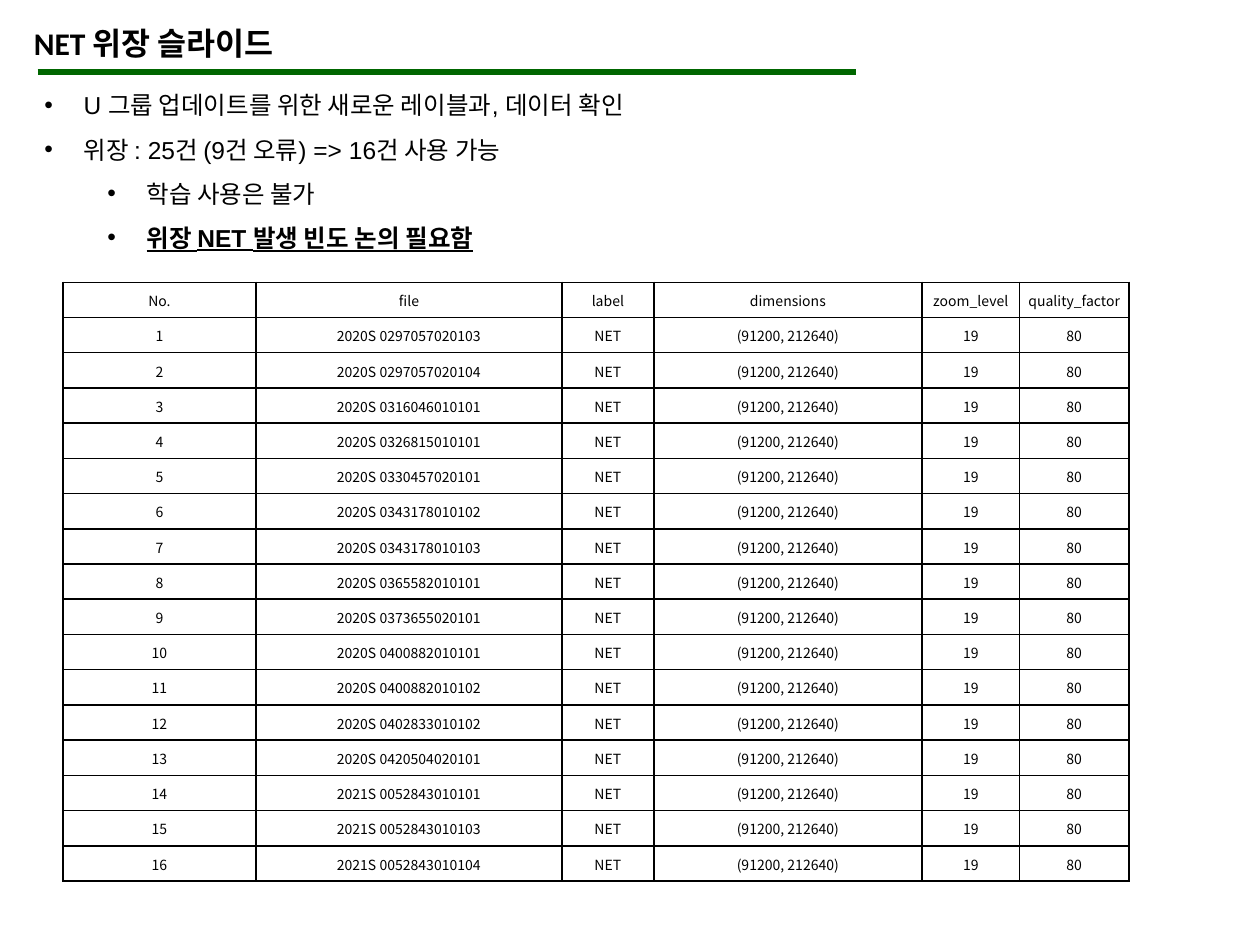
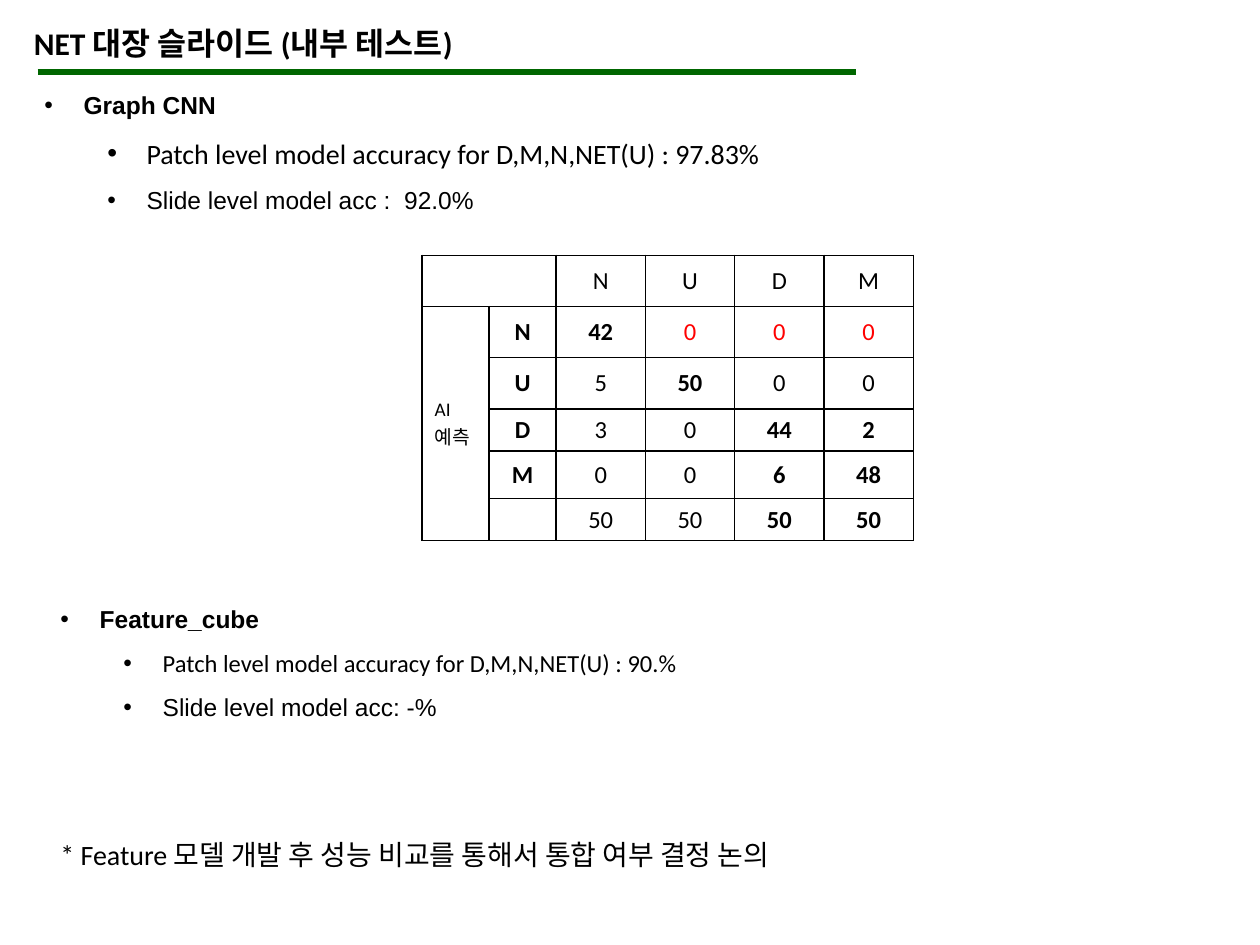
from lxml import etree
from pptx import Presentation
from pptx import util as u
from pptx.dml.color import RGBColor
from pptx.enum import shapes, text
from pptx.oxml.ns import qn

BLACK = RGBColor(0x00, 0x00, 0x00)
WHITE = RGBColor(0xFF, 0xFF, 0xFF)
RED = RGBColor(0xFF, 0x00, 0x00)
GREEN = RGBColor(0x00, 0x66, 0x00)
SANS, BODY, KOREAN = "Calibri", "Arial", "Noto Sans CJK KR"
BULLET_HANG = 0.79
LEVEL_INDENTS = (0.79, 2.06)

FILES = [
    "2020S 0297057020103", "2020S 0297057020104", "2020S 0316046010101",
    "2020S 0326815010101", "2020S 0330457020101", "2020S 0343178010102",
    "2020S 0343178010103", "2020S 0365582010101", "2020S 0373655020101",
    "2020S 0400882010101", "2020S 0400882010102", "2020S 0402833010102",
    "2020S 0420504020101", "2021S 0052843010101", "2021S 0052843010103",
    "2021S 0052843010104",
]
FILE_HEADER = ["No.", "file", "label", "dimensions", "zoom_level", "quality_factor"]
CONFUSION = [
    ["", "", "N", "U", "D", "M"],
    ["AI\n예측", "N", "42", "0", "0", "0"],
    ["", "U", "5", "50", "0", "0"],
    ["", "D", "3", "0", "44", "2"],
    ["", "M", "0", "0", "6", "48"],
    ["", "", "50", "50", "50", "50"],
]


def write(para, words, font=SANS, size=14, color=BLACK, bold=False,
          underline=False, align=text.PP_ALIGN.LEFT):
    para.alignment = align
    if not words:
        etree.SubElement(para._p, qn("a:endParaRPr"), sz=str(size * 100))
        return
    for number, line in enumerate(words.split("\n")):
        if number:
            para.add_line_break()
        span = para.add_run()
        span.text = line
        span.font.size = u.Pt(size)
        span.font.bold = bold
        span.font.underline = underline
        span.font.color.rgb = color
        span.font.name = font
        etree.SubElement(span._r.get_or_add_rPr(), qn("a:ea"), typeface=KOREAN)


def place(box, left, top, width, height):
    box.left, box.top = u.Cm(left), u.Cm(top)
    box.width, box.height = u.Cm(width), u.Cm(height)
    frame = box.text_frame
    frame.word_wrap = True
    frame.vertical_anchor = text.MSO_ANCHOR.TOP
    frame.auto_size = text.MSO_AUTO_SIZE.SHAPE_TO_FIT_TEXT
    return frame


def add_text_box(page, left, top, width, height):
    box = page.shapes.add_textbox(0, 0, 0, 0)
    return place(box, left, top, width, height)


def write_bullets(frame, items):
    for number, (level, words, style) in enumerate(items):
        para = frame.add_paragraph() if number else frame.paragraphs[0]
        para.level = level
        para.line_spacing = 1.5
        para.space_before = u.Pt(0)
        properties = para._p.get_or_add_pPr()
        properties.set("marL", str(u.Cm(LEVEL_INDENTS[level])))
        properties.set("indent", str(-u.Cm(BULLET_HANG)))
        etree.SubElement(properties, qn("a:buFont"), typeface=BODY)
        etree.SubElement(properties, qn("a:buChar"), char="•")
        write(para, words, **{"font": BODY, **style})


def add_page(deck, title, items, body_height):
    page = deck.slides.add_slide(deck.slide_layouts[1])
    frame = place(page.shapes.title, 0.43, 0.36, 14.96, 1.02)
    write(frame.paragraphs[0], title, size=18, bold=True)
    rule = page.shapes.add_connector(
        shapes.MSO_CONNECTOR.STRAIGHT, u.Cm(0.76), u.Cm(1.45), u.Cm(17.25), u.Cm(1.45))
    rule.line.color.rgb = GREEN
    rule.line.width = u.Pt(3)
    etree.SubElement(rule._element.spPr, qn("a:effectLst"))
    write_bullets(place(page.placeholders[1], 0.64, 1.4, 24.16, body_height), items)
    return page


def add_borders(cell):
    properties = cell._tc.get_or_add_tcPr()
    for side in ("lnL", "lnR", "lnT", "lnB"):
        border = etree.SubElement(properties, qn(f"a:{side}"), w=str(u.Pt(1)))
        fill = etree.SubElement(border, qn("a:solidFill"))
        etree.SubElement(fill, qn("a:srgbClr"), val=str(BLACK))


def add_grid(page, left, top, widths, heights, rows, style_of, margin=None):
    grid = page.shapes.add_table(
        len(rows), len(widths), u.Cm(left), u.Cm(top),
        u.Cm(sum(widths)), u.Cm(sum(heights))).table
    grid.first_row = grid.horz_banding = False
    for column, width in zip(grid.columns, widths):
        column.width = u.Cm(width)
    for r, (row, height) in enumerate(zip(rows, heights)):
        grid.rows[r].height = u.Cm(height)
        for c, words in enumerate(row):
            cell = grid.cell(r, c)
            add_borders(cell)
            cell.fill.solid()
            cell.fill.fore_color.rgb = WHITE
            cell.vertical_anchor = text.MSO_ANCHOR.MIDDLE
            if margin is not None:
                cell.margin_left = cell.margin_right = cell.margin_top = u.Cm(margin)
                cell.margin_bottom = 0
            write(cell.text_frame.paragraphs[0], words,
                  **{"align": text.PP_ALIGN.CENTER, **style_of(r, c)})
    return grid


def file_style(row, column):
    return {"font": KOREAN, "size": 8}


def confusion_style(row, column):
    if (row, column) == (1, 0):
        return {"size": 11, "align": text.PP_ALIGN.LEFT}
    if row == 1 and column > 2:
        return {"color": RED}
    return {"bold": column in (1, row + 1) or (row > 2 and column > 3)}


def add_camouflage_page(deck):
    page = add_page(deck, "NET 위장 슬라이드", [
        (0, "U 그룹 업데이트를 위한 새로운 레이블과, 데이터 확인", {}),
        (0, "위장 : 25건 (9건 오류) => 16건 사용 가능", {}),
        (1, "학습 사용은 불가", {}),
        (1, "위장 NET 발생 빈도 논의 필요함", {"bold": True, "underline": True}),
    ], 3.84)
    rows = [FILE_HEADER] + [
        [str(number), name, "NET", "(91200, 212640)", "19", "80"]
        for number, name in enumerate(FILES, 1)]
    add_grid(page, 1.27, 5.69, [3.89, 6.17, 1.85, 5.41, 1.96, 2.21],
             [0.71] * len(rows), rows, file_style, margin=0.02)


def add_colon_page(deck):
    page = add_page(deck, "NET 대장 슬라이드 (내부 테스트)", [
        (0, "Graph CNN", {"bold": True}),
        (1, "Patch level model accuracy for D,M,N,NET(U) : 97.83%",
         {"font": SANS, "size": 16}),
        (1, "Slide level model acc :  92.0%", {}),
    ], 3.99)
    grid = add_grid(page, 8.51, 5.15, [1.35] * 2 + [1.8] * 4,
                    [1.03, 1.03, 1.03, 0.85, 0.96, 0.85], CONFUSION, confusion_style)
    grid.cell(0, 0).merge(grid.cell(0, 1))
    grid.cell(1, 0).merge(grid.cell(5, 0))
    write_bullets(add_text_box(page, 0.97, 11.76, 24.16, 2.95), [
        (0, "Feature_cube", {"bold": True}),
        (1, "Patch level model accuracy for D,M,N,NET(U) : 90.%", {"font": SANS}),
        (1, "Slide level model acc: -%", {}),
    ])
    note = add_text_box(page, 0.97, 16.76, 19.94, 0.94)
    write(note.paragraphs[0],
          "* Feature 모델 개발 후 성능 비교를 통해서 통합 여부 결정 논의", size=16)


def main():
    deck = Presentation()
    deck.slide_width, deck.slide_height = u.Cm(25.4), u.Cm(19.05)
    add_camouflage_page(deck)
    add_colon_page(deck)
    deck.save("out.pptx")


if __name__ == "__main__":
    main()
